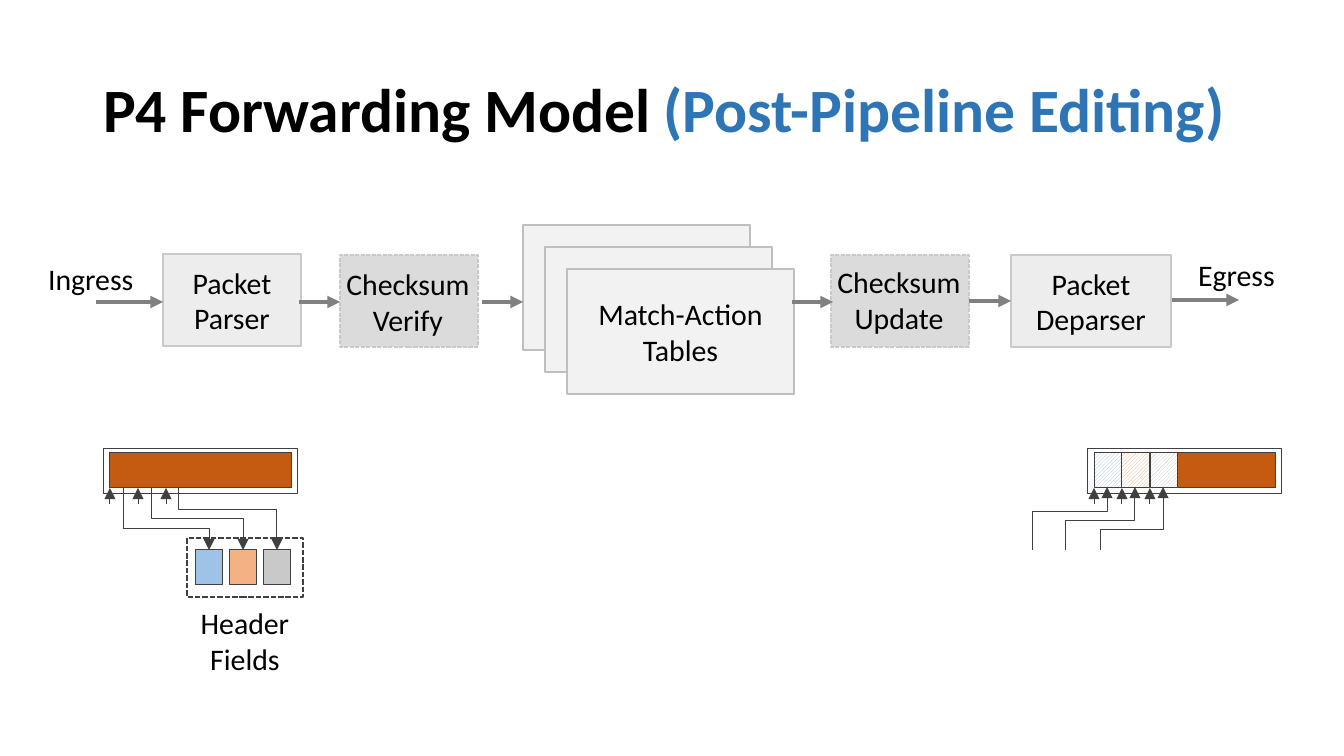
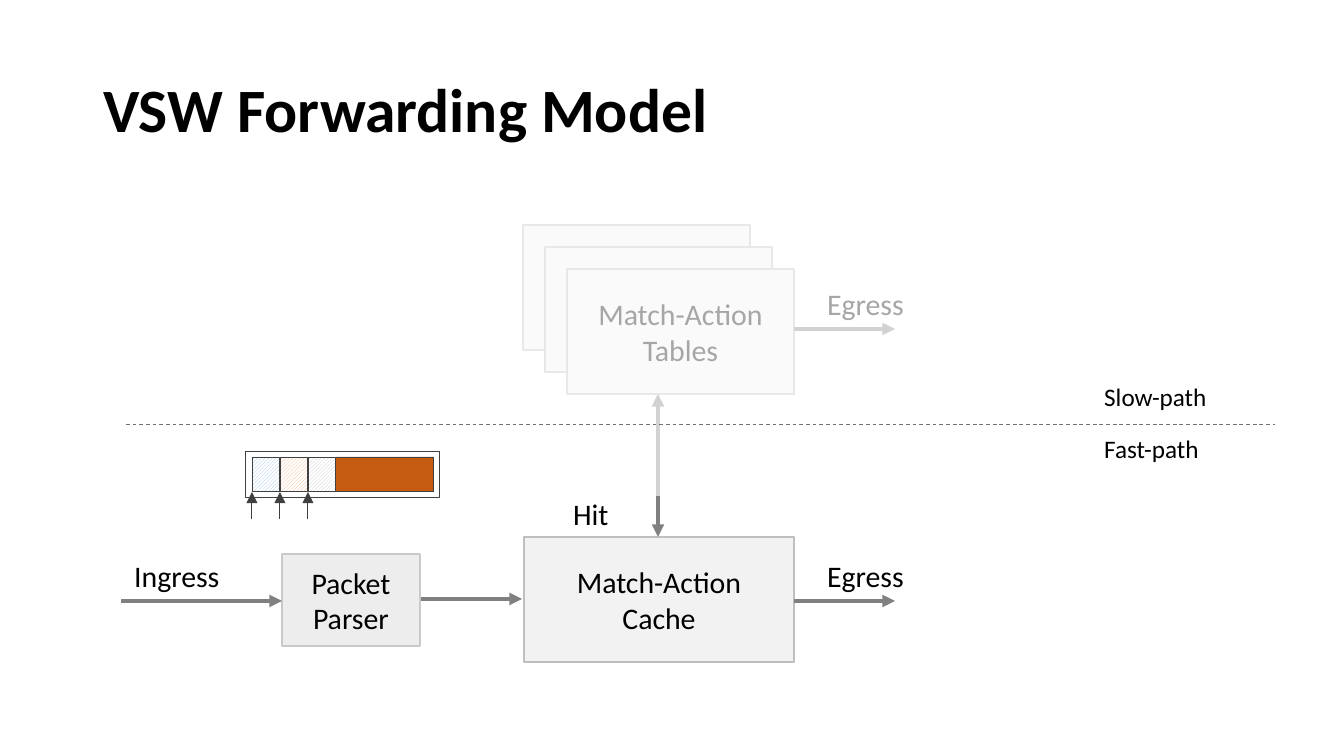
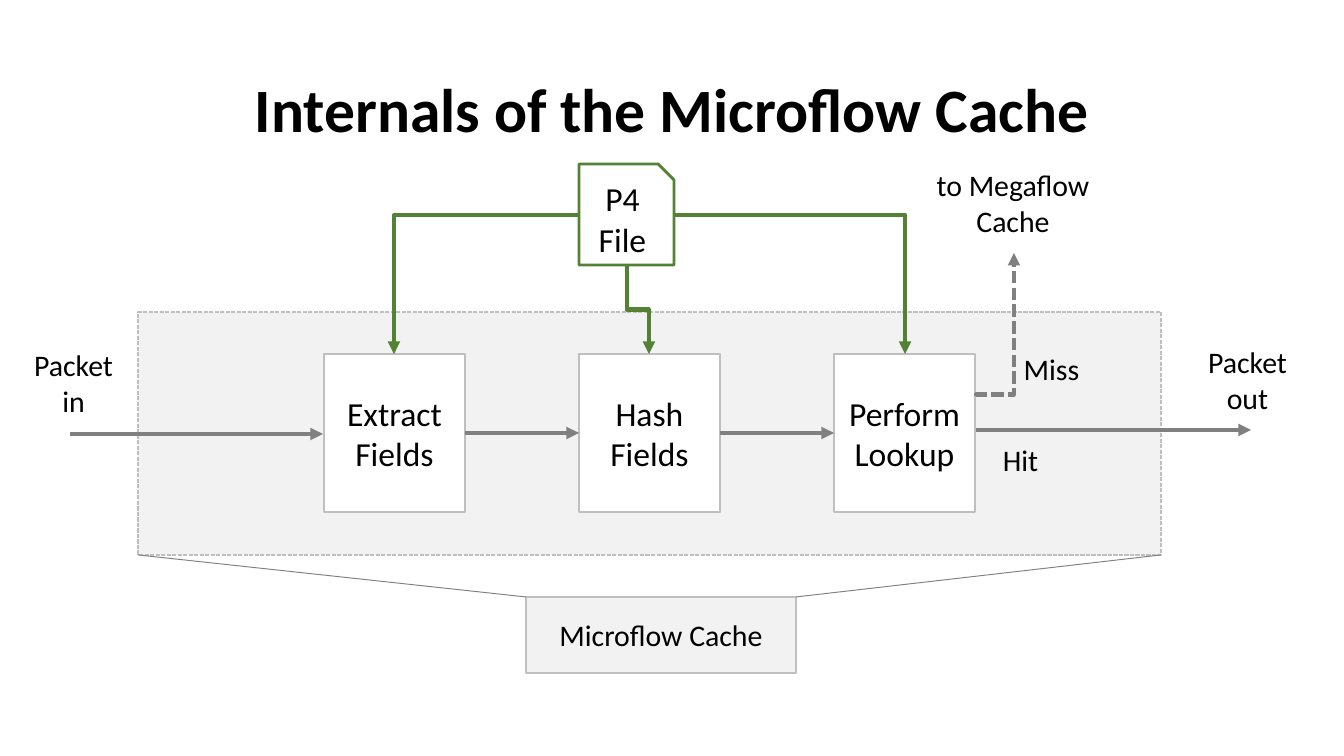
import lxml.etree
import pptx
import pptx.dml.color
import pptx.enum.dml
import pptx.enum.shapes
import pptx.enum.text
import pptx.oxml.ns
import pptx.util

RGBColor = pptx.dml.color.RGBColor
Shape = pptx.enum.shapes.MSO_SHAPE
Connector = pptx.enum.shapes.MSO_CONNECTOR
Dash = pptx.enum.dml.MSO_LINE
Align = pptx.enum.text.PP_ALIGN
qn = pptx.oxml.ns.qn

BLACK = RGBColor(0x00, 0x00, 0x00)
WHITE = RGBColor(0xFF, 0xFF, 0xFF)
TITLE_BLUE = RGBColor(0x2E, 0x75, 0xB6)
ARROW_GRAY = RGBColor(0x80, 0x80, 0x80)
OUTLINE = RGBColor(0x40, 0x40, 0x40)
DIVIDER_GRAY = RGBColor(0x76, 0x71, 0x71)
STAGE_FILL = RGBColor(0xED, 0xED, 0xED)
STAGE_LINE = RGBColor(0xC9, 0xC9, 0xC9)
CHECKSUM_FILL = RGBColor(0xDB, 0xDB, 0xDB)
TABLE_FILL = RGBColor(0xF2, 0xF2, 0xF2)
TABLE_LINE = RGBColor(0xBF, 0xBF, 0xBF)
PAYLOAD = RGBColor(0xC5, 0x5A, 0x11)
GREEN = RGBColor(0x54, 0x82, 0x35)
FIELD_COLORS = (
    RGBColor(0x9D, 0xC3, 0xE6),
    RGBColor(0xF4, 0xB1, 0x83),
    RGBColor(0xC9, 0xC9, 0xC9),
)

EMU_PER_PIXEL = 914400 / 134.4
FIELD_WIDTH = 28
HEADER_PITCH = 34


def px(length):
    """Turn pixels into EMU."""
    return pptx.util.Emu(round(length * EMU_PER_PIXEL))


class Deck:
    """Holds the presentation, its style and the current slide."""

    font_name = "Calibri"

    def __init__(self):
        """Start an empty widescreen presentation."""
        self.presentation = pptx.Presentation()
        self.presentation.slide_width = px(1344)
        self.presentation.slide_height = px(756)
        self.slide = None

    def set_text(self, frame, text, size, align, color=BLACK, bold=False):
        """Fill a text frame, one paragraph per line."""
        frame.text = text
        for paragraph in frame.paragraphs:
            paragraph.alignment = align
            paragraph.font.name = self.font_name
            paragraph.font.size = pptx.util.Pt(size)
            paragraph.font.bold = bold
            paragraph.font.color.rgb = color

    def set_heading(self, shape, text, color, align):
        """Format a shape's text in the title style."""
        frame = shape.text_frame
        frame.word_wrap = True
        frame.auto_size = pptx.enum.text.MSO_AUTO_SIZE.NONE
        frame.vertical_anchor = pptx.enum.text.MSO_ANCHOR.MIDDLE
        self.set_text(frame, text, 33, align, color, True)
        frame.paragraphs[0].line_spacing = 0.9

    def new_slide(self, title, align=Align.LEFT):
        """Add a title-only slide and style its title."""
        layout = self.presentation.slide_layouts[5]
        self.slide = self.presentation.slides.add_slide(layout)
        shape = self.slide.shapes.title
        shape.left, shape.top = px(93), px(40)
        shape.width, shape.height = px(1158), px(146)
        shape.text_frame.margin_left = shape.text_frame.margin_right = px(10)
        self.set_heading(shape, title, BLACK, align)

    def subtitle(self, left, width, text):
        """Add a blue continuation beside the title."""
        shape = self.slide.shapes.add_textbox(px(left), px(40), px(width), px(146))
        self.set_heading(shape, text, TITLE_BLUE, Align.LEFT)

    def label(self, left, top, width, height, text, size=16, align=Align.LEFT, wrap=False):
        """Add a free text label."""
        shape = self.slide.shapes.add_textbox(px(left), px(top), px(width), px(height))
        frame = shape.text_frame
        frame.word_wrap = wrap
        frame.auto_size = pptx.enum.text.MSO_AUTO_SIZE.SHAPE_TO_FIT_TEXT
        self.set_text(frame, text, size, align)

    def box(self, left, top, width, height, fill=None, line=None, weight=0.75,
            dash=None, text="", size=16, kind=Shape.RECTANGLE):
        """Add a preset shape with optional fill, outline and centred text."""
        shape = self.slide.shapes.add_shape(kind, px(left), px(top), px(width), px(height))
        shape.shadow.inherit = False
        if fill is None:
            shape.fill.background()
        else:
            shape.fill.solid()
            shape.fill.fore_color.rgb = fill
        if line is None:
            shape.line.fill.background()
        else:
            self.stroke(shape.line, line, weight, dash)
        if text:
            shape.text_frame.word_wrap = True
            shape.text_frame.vertical_anchor = pptx.enum.text.MSO_ANCHOR.MIDDLE
            self.set_text(shape.text_frame, text, size, Align.CENTER)
        return shape

    def stroke(self, line, color, weight, dash=None):
        """Set the colour, weight and dash of a line."""
        line.color.rgb = color
        line.width = pptx.util.Pt(weight)
        if dash is not None:
            line.dash_style = dash

    def finish_connector(self, connector, color, weight, dash, ends):
        """Style a connector, add its arrowheads and drop its shadow."""
        self.stroke(connector.line, color, weight, dash)
        properties = connector.element.spPr
        for end in ends:
            lxml.etree.SubElement(properties.find(qn("a:ln")), qn("a:" + end), type="triangle")
        lxml.etree.SubElement(properties, qn("a:effectLst"))

    def line(self, start, end, color=ARROW_GRAY, weight=2.25, dash=None, ends=("tailEnd",)):
        """Draw a straight line, by default a flow arrow."""
        connector = self.slide.shapes.add_connector(
            Connector.STRAIGHT, px(start[0]), px(start[1]), px(end[0]), px(end[1]))
        self.finish_connector(connector, color, weight, dash, ends)

    def elbow(self, start, end, bend=None, color=OUTLINE, weight=0.5, dash=None):
        """Draw a bent arrow: one corner, or two when a bend is given.

        With a bend it leaves vertically and runs to the right, turning at
        that share of its height; without one it leaves horizontally and
        goes down.
        """
        (x1, y1), (x2, y2) = start, end
        width, height = abs(x2 - x1), abs(y2 - y1)
        if bend is not None:
            width, height = height, width
        left, top = (x1 + x2 - width) / 2, (y1 + y2 - height) / 2
        connector = self.slide.shapes.add_connector(
            Connector.ELBOW, px(left), px(top), px(left + width), px(top + height))
        geometry = connector.element.spPr.find(qn("a:prstGeom"))
        if bend is None:
            geometry.set("prst", "bentConnector2")
            rotation, flips = (180, ["flipV"]) if x2 < x1 else (0, [])
        else:
            rotation, flips = (270, ["flipH"]) if y2 > y1 else (90, ["flipH", "flipV"])
            lxml.etree.SubElement(geometry.find(qn("a:avLst")), qn("a:gd"),
                                  name="adj1", fmla=f"val {round(bend * 100000)}")
        transform = connector.element.spPr.find(qn("a:xfrm"))
        transform.set("rot", str(rotation * 60000))
        for flip in flips:
            transform.set(flip, "1")
        self.finish_connector(connector, color, weight, dash, ("tailEnd",))

    def stage(self, left, top, width, text):
        """Add a processing stage of the pipeline."""
        self.box(left, top, width, 92, STAGE_FILL, STAGE_LINE, text=text)

    def checksum(self, left, label_top, text):
        """Add an optional checksum stage with its label."""
        self.box(left, 255, 138, 92, CHECKSUM_FILL, STAGE_LINE, dash=Dash.SQUARE_DOT)
        self.label(left - 7, label_top, 150, 86, text, align=Align.CENTER)

    def table_stack(self):
        """Add the three overlapping match-action tables."""
        for index, text in enumerate(("", "", "Match-Action\nTables")):
            self.box(523 + 22 * index, 225 + 22 * index, 227, 125,
                     TABLE_FILL, TABLE_LINE, text=text)

    def packet(self, left, top, pointer_start, hatched=True):
        """Add a packet with pointers to where its fields begin."""
        inner_left, inner_top = left + 6, top + 5
        fields_width = FIELD_WIDTH * len(FIELD_COLORS) if hatched else 0
        self.box(inner_left + fields_width, inner_top, 182 - fields_width, 35,
                 PAYLOAD, OUTLINE, 0.5)
        for index, color in enumerate(FIELD_COLORS):
            x = inner_left + FIELD_WIDTH * index
            if hatched:
                fill = self.box(x, inner_top, FIELD_WIDTH, 35, line=OUTLINE, weight=0.5).fill
                fill.patterned()
                fill.pattern = pptx.enum.dml.MSO_PATTERN.LIGHT_UPWARD_DIAGONAL
                fill.fore_color.rgb = color
                fill.back_color.rgb = WHITE
            self.line((x, pointer_start), (x, inner_top + 35), OUTLINE, 0.5)
        self.box(left, top, 194, 46, line=OUTLINE, weight=0.5)

    def veil(self, left, top, width, height):
        """Fade a region with a translucent white shape."""
        shape = self.box(left, top, width, height, WHITE, kind=Shape.ROUNDED_RECTANGLE)
        shape.adjustments[0] = 0.5
        color = shape.element.spPr.find(qn("a:solidFill"))[0]
        lxml.etree.SubElement(color, qn("a:alpha"), val="65000")


def build_post_pipeline(deck):
    """Build the forwarding model with editing after the pipeline."""
    deck.new_slide("P4 Forwarding Model")
    deck.subtitle(650, 629, "(Post-Pipeline Editing)")
    deck.stage(163, 254, 138, "Packet\nParser")
    deck.table_stack()
    deck.stage(1011, 255, 160, "Packet\nDeparser")
    deck.checksum(340, 259, "Checksum\nVerify")
    deck.checksum(831, 257, "Checksum\nUpdate")
    for start, end, y in ((96, 163, 302), (299, 340, 302), (482, 523, 302),
                          (792, 833, 302), (969, 1011, 301), (1172, 1239, 300)):
        deck.line((start, y), (end, y))
    deck.label(35, 254, 113, 50, "Ingress")
    deck.label(1185, 250, 105, 50, "Egress")

    deck.packet(104, 448, 504, hatched=False)
    deck.packet(1088, 448, 504)
    deck.box(187, 538, 116, 59, line=OUTLINE, weight=1, dash=Dash.SQUARE_DOT)
    for index, color in enumerate(FIELD_COLORS):
        field, header = FIELD_WIDTH * index, HEADER_PITCH * index
        deck.box(196 + header, 550, 27, 35, color, OUTLINE, 0.5)
        deck.elbow((123 + field, 488), (209 + header, 550), 0.66 - 0.16 * index)
        deck.elbow((1032 + header, 550), (1107 + field, 487), 0.61 - 0.14 * index)
    deck.label(187, 598, 116, 86, "Header\nFields", align=Align.CENTER)


def build_switch_model(deck):
    """Build the slow path and fast path of the software switch."""
    deck.new_slide("VSW Forwarding Model")
    deck.stage(282, 554, 138, "Packet\nParser")
    deck.line((421, 599), (522, 599))
    deck.line((121, 601), (282, 601))
    deck.label(121, 551, 113, 50, "Ingress")
    deck.box(524, 537, 270, 125, TABLE_FILL, TABLE_LINE, text="Match-Action\nCache")
    deck.line((658, 394), (658, 537), ends=("headEnd", "tailEnd"))
    deck.table_stack()
    for y in (329, 601):
        if y == 601:
            deck.veil(461, 169, 492, 327)
        deck.line((794, y), (895, y))
        deck.label(814, y - 50, 105, 50, "Egress")
    deck.label(560, 489, 62, 50, "Hit")
    deck.packet(246, 452, 519)
    deck.line((126, 425), (1275, 425), DIVIDER_GRAY, 0.5, Dash.DASH, ends=())
    deck.label(1091, 375, 130, 44, "Slow-path", 13.5)
    deck.label(1091, 427, 124, 44, "Fast-path", 13.5)


def build_microflow_cache(deck):
    """Build the steps inside the microflow cache."""
    deck.new_slide("Internals of the Microflow Cache", Align.CENTER)
    deck.box(138, 312, 1023, 243, TABLE_FILL, TABLE_LINE, dash=Dash.SQUARE_DOT)
    deck.label(13, 340, 121, 86, "Packet in", align=Align.CENTER, wrap=True)
    deck.line((70, 434), (323, 434))
    step_left, step_width, pitch = 324, 141, 255
    for index, text in enumerate(("Extract Fields", "Hash Fields", "Perform Lookup")):
        left = step_left + pitch * index
        deck.box(left, 354, step_width, 158, WHITE, TABLE_LINE, text=text, size=18)
        if index:
            deck.line((left - pitch + step_width, 433), (left, 433))

    deck.box(579, 164, 95, 101, line=GREEN, weight=1.5, text="P4 File", size=18,
             kind=Shape.SNIP_1_RECTANGLE)
    for start, end, bend in (((579, 215), (394, 354), None),
                             ((627, 265), (649, 354), 0.5),
                             ((675, 215), (905, 354), None)):
        deck.elbow(start, end, bend, GREEN, 2.25)

    deck.line((976, 430), (1251, 430))
    deck.elbow((976, 396), (1014, 253), 0.01, ARROW_GRAY, 2.25, Dash.SQUARE_DOT)
    deck.label(1161, 337, 173, 86, "Packet\nout", align=Align.CENTER, wrap=True)
    deck.label(987, 344, 129, 50, "Miss", align=Align.CENTER, wrap=True)
    deck.label(934, 435, 173, 50, "Hit", align=Align.CENTER, wrap=True)
    deck.label(918, 160, 190, 86, "to Megaflow Cache", align=Align.CENTER, wrap=True)
    deck.box(526, 597, 270, 76, TABLE_FILL, TABLE_LINE, text="Microflow Cache")
    for cache_x, panel_x in ((796, 1161), (526, 138)):
        deck.line((cache_x, 597), (panel_x, 555), weight=0.5, ends=())


deck = Deck()
build_post_pipeline(deck)
build_switch_model(deck)
build_microflow_cache(deck)
deck.presentation.save("out.pptx")
